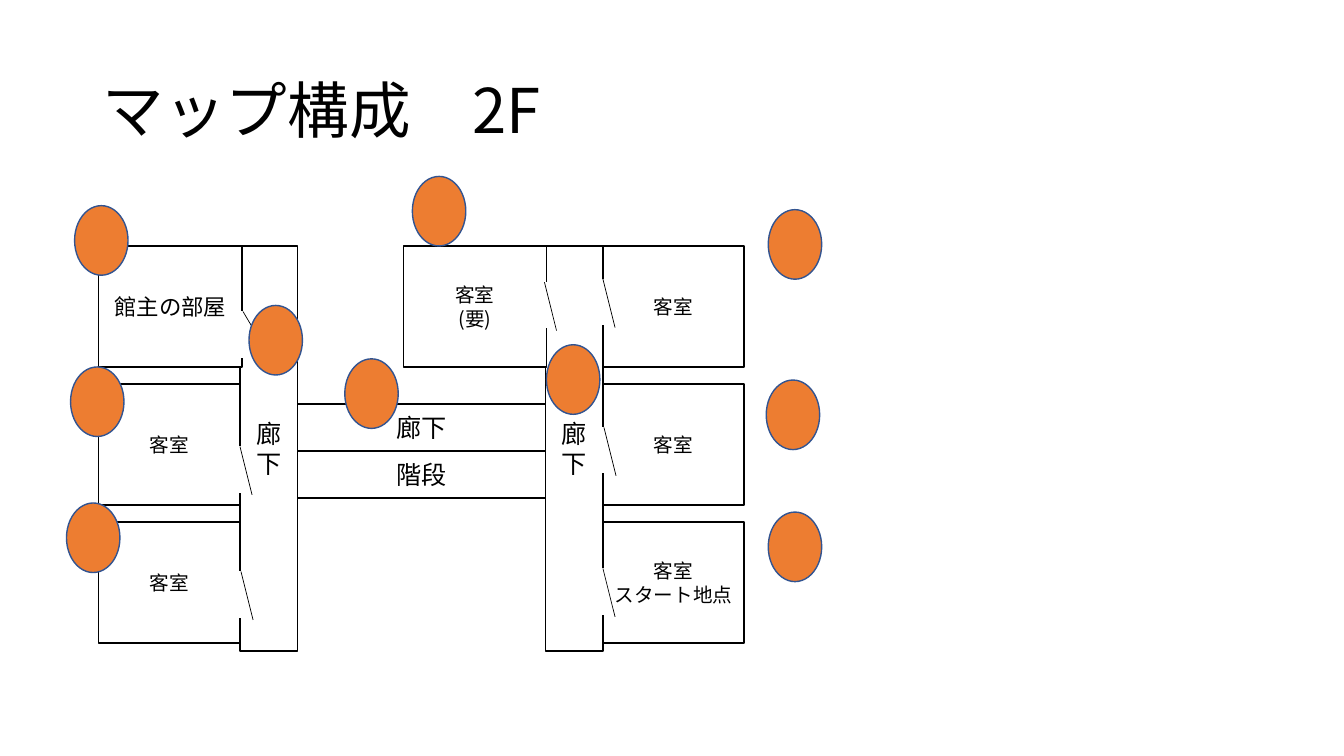
"""Builds the second-floor map slide: rooms, corridors, doors and markers."""
from dataclasses import dataclass

from lxml.etree import SubElement
from pptx import Presentation
from pptx.dml.color import RGBColor
from pptx.enum.shapes import MSO_CONNECTOR as Conn, MSO_SHAPE as Shape
from pptx.enum.text import MSO_ANCHOR as Anchor, PP_ALIGN as Align
from pptx.oxml.ns import qn
from pptx.util import Pt

PX = 9144


@dataclass(frozen=True)
class Theme:
    font: str = "Noto Sans CJK JP"
    ink: RGBColor = RGBColor(0, 0, 0)
    paper: RGBColor = RGBColor(0xFF, 0xFF, 0xFF)
    marker: RGBColor = RGBColor(0xED, 0x7D, 0x31)
    marker_line: RGBColor = RGBColor(0x32, 0x54, 0x91)
    title: int = 44
    corridor: int = 18
    owner: int = 16
    room: int = 14
    wall: float = 1
    leaf: float = 0.5


@dataclass(frozen=True)
class Box:
    x: int
    y: int
    w: int
    h: int

    def emu(self) -> tuple[int, ...]:
        return tuple(v * PX for v in (self.x, self.y, self.w, self.h))


@dataclass(frozen=True)
class Area:
    box: Box
    lines: tuple[str, ...]
    size: int


@dataclass(frozen=True)
class Door:
    x: int
    y: int
    gap_w: int = 23
    leaf_w: int = 12
    leaf_h: int = 48


T = Theme()
ROW_Y = [244 + 137 * i for i in range(3)]
LEFT_X, RIGHT_X, ROOM_W, ROOM_H = 98, 598, 140, 120
GAP_H = 45
MARKER_W, MARKER_H = 53, 69

CORRIDORS = [Area(Box(x, ROW_Y[0], 57, 402), ("廊下",), T.corridor) for x in (541, 238)]
PASSAGES = [Area(Box(295, y, 246, 46), (name,), T.corridor)
            for y, name in ((448, "階段"), (401, "廊下"))]
LEFT_ROOMS = [Area(Box(LEFT_X, y, ROOM_W, ROOM_H), ("客室",), T.room) for y in ROW_Y[1:]]
RIGHT_ROOMS = [Area(Box(RIGHT_X, y, ROOM_W, ROOM_H), lines, T.room)
               for y, lines in zip(ROW_Y, (("客室",), ("客室",), ("客室", "スタート地点")))]
WIDE_ROOMS = [
    Area(Box(LEFT_X, ROW_Y[0], 142, ROOM_H), ("館主の部屋",), T.owner),
    Area(Box(400, ROW_Y[0], 142, ROOM_H), ("客室", "(要)"), T.room),
]
AREAS = CORRIDORS + LEFT_ROOMS + WIDE_ROOMS + RIGHT_ROOMS + PASSAGES
DOORS = [
    Door(241, 309, gap_w=26, leaf_w=13, leaf_h=22),
    Door(238, 443), Door(239, 567), Door(598, 564),
    Door(599, 424), Door(598, 277), Door(540, 280),
]
MARKERS = [(762, 208), (760, 377), (762, 508), (409, 175), (70, 364),
           (542, 342), (342, 356), (66, 499), (247, 303), (74, 204)]


def write(tf, lines: tuple[str, ...], size: int, align: Align) -> None:
    tf.word_wrap = True
    tf.vertical_anchor = Anchor.MIDDLE
    for i, text in enumerate(lines):
        p = tf.paragraphs[0] if i == 0 else tf.add_paragraph()
        p.text = text
        p.alignment = align
        p.font.size = Pt(size)
        p.font.color.rgb = T.ink
        p.font.name = T.font
        props = p._p.pPr.find(qn("a:defRPr"))
        SubElement(props, qn("a:ea")).set("typeface", T.font)


def add_filled(shapes, kind: Shape, box: Box, fill: RGBColor, line: RGBColor):
    sp = shapes.add_shape(kind, *box.emu())
    sp.shadow.inherit = False
    sp.fill.solid()
    sp.fill.fore_color.rgb = fill
    sp.line.color.rgb = line
    sp.line.width = Pt(T.wall)
    return sp


def add_area(shapes, area: Area) -> None:
    sp = add_filled(shapes, Shape.RECTANGLE, area.box, T.paper, T.ink)
    write(sp.text_frame, area.lines, area.size, Align.CENTER)


def add_door(shapes, door: Door) -> None:
    group = shapes.add_group_shape().shapes
    gap = Box(door.x - door.gap_w // 2, door.y, door.gap_w, GAP_H)
    add_filled(group, Shape.RECTANGLE, gap, T.paper, T.paper)
    ends = (door.x, door.y, door.x + door.leaf_w, door.y + door.leaf_h)
    leaf = group.add_connector(Conn.STRAIGHT, *(v * PX for v in ends))
    leaf.line.color.rgb = T.ink
    leaf.line.width = Pt(T.leaf)
    SubElement(leaf._element.spPr, qn("a:effectLst"))


def main() -> None:
    prs = Presentation()
    prs.slide_width, prs.slide_height = 1333 * PX, 750 * PX
    s = prs.slides.add_slide(prs.slide_layouts[6])
    title = s.shapes.add_textbox(*Box(92, 40, 1150, 145).emu())
    write(title.text_frame, ("マップ構成\u3000２F".replace("\u3000２", "　2"),), T.title, Align.LEFT)
    title.text_frame.paragraphs[0].line_spacing = 0.9
    for area in AREAS:
        add_area(s.shapes, area)
    for door in DOORS:
        add_door(s.shapes, door)
    for x, y in MARKERS:
        add_filled(s.shapes, Shape.OVAL, Box(x, y, MARKER_W, MARKER_H), T.marker, T.marker_line)
    prs.save("out.pptx")


if __name__ == "__main__":
    main()
